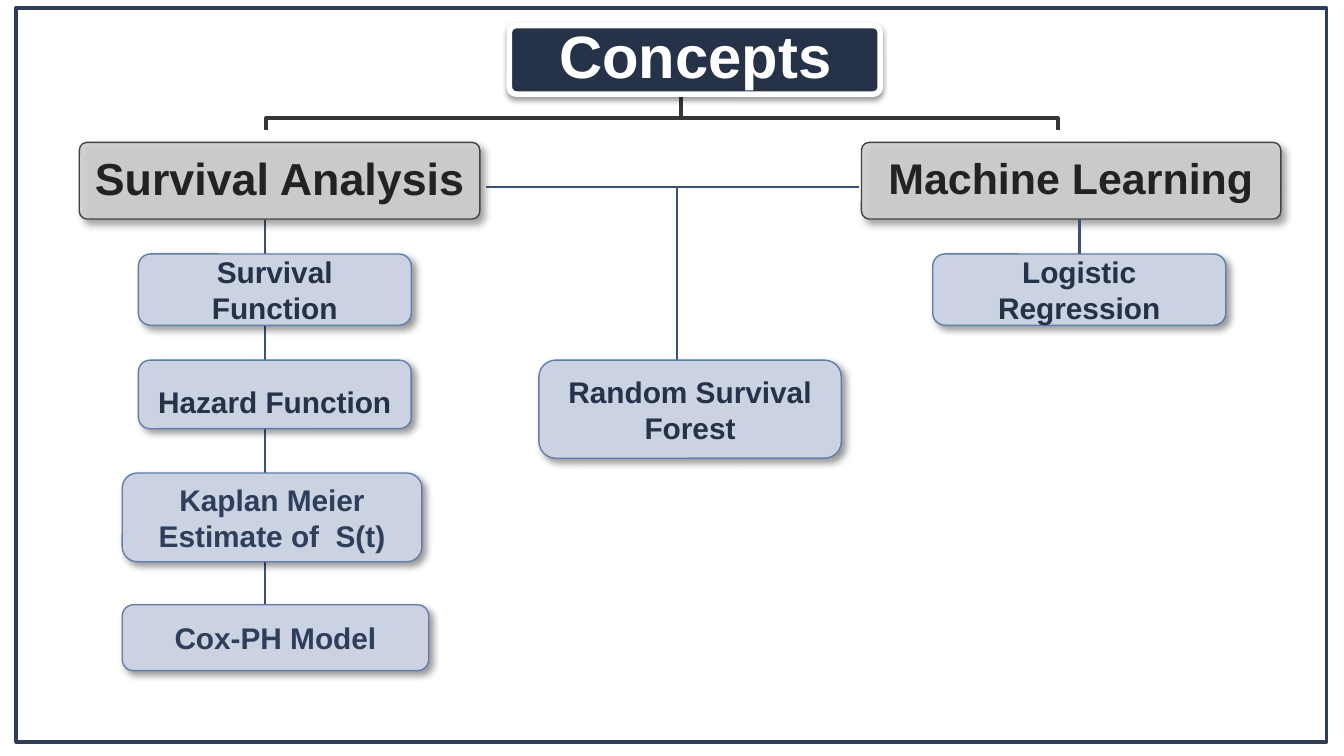
from dataclasses import dataclass

from lxml.etree import SubElement
from pptx import Presentation
from pptx.dml.color import RGBColor
from pptx.enum.shapes import MSO_CONNECTOR, MSO_SHAPE
from pptx.enum.text import MSO_ANCHOR, MSO_AUTO_SIZE, PP_ALIGN
from pptx.oxml.ns import qn
from pptx.util import Inches, Pt


@dataclass(frozen=True)
class Theme:
    font: str = "Arial"
    white: str = "FFFFFF"
    navy: str = "263248"
    slate: str = "2F3E5A"
    frame: str = "2F3D59"
    link: str = "3C5177"
    bracket: str = "363636"
    gray: str = "CFCFCF"
    gray_line: str = "434343"
    gray_text: str = "222222"
    blue: str = "CBD3E3"
    blue_line: str = "627CAC"
    title_size: int = 32
    topic_size: int = 16


THEME = Theme()
SOFT_SHADOW = (40, 4, 3, 45)
TITLE_SHADOW = (38, 3.1, 1.6, 90)


def rgb(color):
    return RGBColor.from_string(color)


def add_alpha(color_element, percent):
    SubElement(color_element, qn("a:alpha"), val=str(percent * 1000))


def set_shadow(sp, opacity, blur, distance, angle):
    effects = sp.element.spPr.find(qn("a:effectLst"))
    shadow = SubElement(effects, qn("a:outerShdw"), blurRad=str(Pt(blur)),
                        dist=str(Pt(distance)), dir=str(angle * 60000),
                        algn="bl", rotWithShape="0")
    add_alpha(SubElement(shadow, qn("a:srgbClr"), val="000000"), opacity)


def set_line(sp, color, width):
    sp.line.color.rgb = rgb(color)
    sp.line.width = Pt(width)


def set_text(sp, text, size, color, spacing=1.0, inset=0.1):
    tf = sp.text_frame
    tf.word_wrap = True
    tf.auto_size = MSO_AUTO_SIZE.NONE
    tf.vertical_anchor = MSO_ANCHOR.MIDDLE
    tf.margin_left = tf.margin_right = Inches(inset)
    tf.margin_top = tf.margin_bottom = Inches(0.05)
    tf.text = text
    for p in tf.paragraphs:
        p.alignment = PP_ALIGN.CENTER
        p.line_spacing = spacing
        p.font.name = THEME.font
        p.font.size = Pt(size)
        p.font.bold = True
        p.font.color.rgb = rgb(color)


def add_box(s, box, fill, line, width, shadow, corner=0.1):
    sp = s.shapes.add_shape(MSO_SHAPE.ROUNDED_RECTANGLE, *map(Inches, box))
    sp.adjustments[0] = corner
    sp.fill.solid()
    sp.fill.fore_color.rgb = rgb(fill)
    set_line(sp, line, width)
    sp.shadow.inherit = False
    set_shadow(sp, *shadow)
    return sp


def add_title(s, text):
    badge = add_box(s, (3.79, 0.19, 2.76, 0.51), THEME.navy, THEME.white, 3,
                    TITLE_SHADOW)
    title = s.shapes.title
    title.left, title.top, title.width, title.height = map(
        Inches, (3.81, 0.2, 2.73, 0.48))
    set_text(title, text, THEME.title_size, THEME.white, 0.9)
    badge.element.addnext(title.element)  # title text sits above its badge


def add_branch(s, text, box, size):
    sp = add_box(s, box, THEME.gray, THEME.gray_line, 0.75, SOFT_SHADOW)
    add_alpha(sp.element.spPr.find(qn("a:solidFill"))[0], 90)
    set_text(sp, text, size, THEME.gray_text, 0.9, 0.05)


def add_topic(s, text, box, color=THEME.navy):
    sp = add_box(s, box, THEME.blue, THEME.blue_line, 0.75, SOFT_SHADOW, 0.17)
    set_text(sp, text, THEME.topic_size, color)
    return sp


def add_link(s, start, end, width=1):
    line = s.shapes.add_connector(MSO_CONNECTOR.STRAIGHT,
                                  *map(Inches, start + end))
    set_line(line, THEME.link, width)
    SubElement(line.element.spPr, qn("a:effectLst"))
    return line


def add_elbow(s, from_x, to_x):
    top, middle, bottom = map(Inches, (0.6, 0.88, 0.97))
    x1, x2 = Inches(from_x), Inches(to_x)
    builder = s.shapes.build_freeform(x1, top)
    builder.add_line_segments([(x1, middle), (x2, middle), (x2, bottom)],
                              close=False)
    sp = builder.convert_to_shape()
    sp.fill.background()
    set_line(sp, THEME.bracket, 2)
    sp.shadow.inherit = False


def add_frame(s):
    sp = s.shapes.add_shape(MSO_SHAPE.RECTANGLE,
                            *map(Inches, (0.12, 0.06, 9.75, 5.46)))
    sp.fill.background()
    set_line(sp, THEME.frame, 2)
    sp.shadow.inherit = False


def main():
    prs = Presentation()
    prs.slide_width = Inches(10)
    prs.slide_height = Inches(10) * 9 // 16  # widescreen, 16:9
    s = prs.slides.add_slide(prs.slide_layouts[5])

    # Title and the bracket down to both branches
    for branch_x in (7.87, 1.98):
        add_elbow(s, 5.07, branch_x)
    add_title(s, "Concepts")

    # Spine behind the survival topics
    add_link(s, (1.97, 1.64), (1.97, 4.76))

    # Branches
    add_branch(s, "Survival Analysis", (0.59, 1.06, 2.98, 0.57), 24)
    add_branch(s, "Machine Learning", (6.41, 1.06, 3.12, 0.57), 23)

    # Survival topics
    add_topic(s, "Survival Function", (1.03, 1.89, 2.03, 0.53))
    hazard = add_topic(s, "Hazard Function", (1.03, 2.68, 2.03, 0.51))
    hazard.text_frame.margin_top = Inches(0.15)
    add_topic(s, "Kaplan Meier Estimate of  S(t)", (0.91, 3.52, 2.23, 0.66),
              THEME.slate)
    add_topic(s, "Cox-PH Model", (0.91, 4.5, 2.28, 0.49), THEME.slate)

    # Machine learning topic
    logistic = add_topic(s, "Logistic Regression", (6.94, 1.89, 2.18, 0.53))
    add_link(s, (8.03, 1.63), (8.03, 1.89), 1.5).end_connect(logistic, 0)

    # Topic shared by both branches
    add_link(s, (6.39, 1.39), (3.62, 1.39))
    add_link(s, (5.04, 1.39), (5.04, 2.69))
    add_topic(s, "Random Survival\nForest", (4.01, 2.68, 2.25, 0.73))

    add_frame(s)
    prs.save("out.pptx")


if __name__ == "__main__":
    main()
